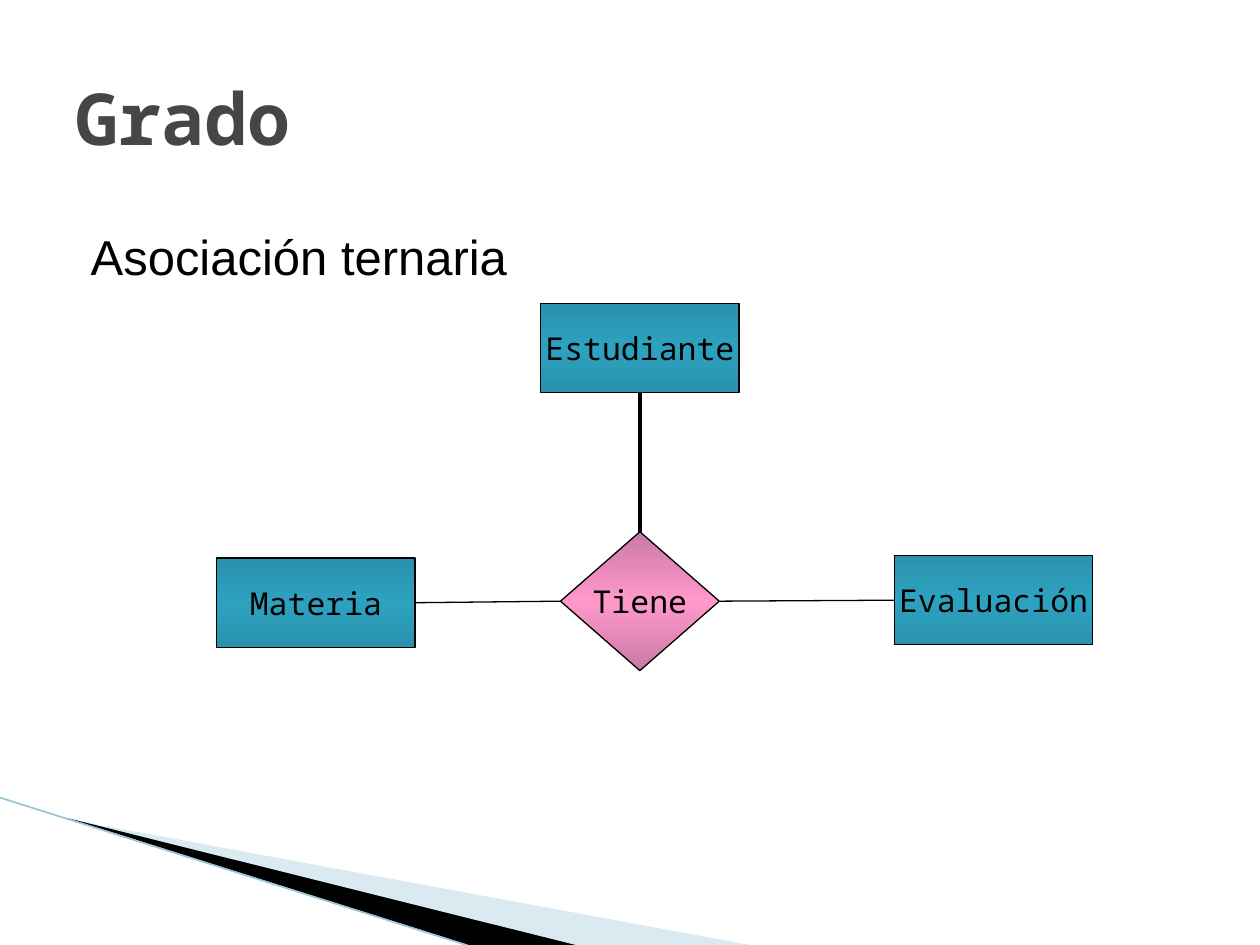
from lxml import etree
from pptx import Presentation
from pptx.dml.color import RGBColor
from pptx.enum.shapes import MSO_CONNECTOR, MSO_SHAPE
from pptx.enum.text import MSO_ANCHOR, PP_ALIGN
from pptx.oxml.ns import qn
from pptx.util import Cm, Pt

RECTANGLE, DIAMOND = MSO_SHAPE.RECTANGLE, MSO_SHAPE.DIAMOND
STRAIGHT = MSO_CONNECTOR.STRAIGHT
LEFT, CENTER = PP_ALIGN.LEFT, PP_ALIGN.CENTER
TOP, MIDDLE = MSO_ANCHOR.TOP, MSO_ANCHOR.MIDDLE
TITLE_ONLY = 5
TOP_SITE, LEFT_SITE, BOTTOM_SITE, RIGHT_SITE = range(4)


def color(value):
    return RGBColor.from_string(value)


class Diagram:
    mono = "Noto Sans Mono"
    black = "000000"
    teal = ("2992AD", "2DA2BF")
    pink = ("CA79A2", "FF99CC")

    def __init__(self, slide):
        self.slide = slide
        self.shapes = slide.shapes

    def set_text(self, shape, text, size, font, ink, align=LEFT, anchor=MIDDLE, wrap=True, bold=False):
        frame = shape.text_frame
        frame.text = text
        frame.word_wrap = wrap
        frame.vertical_anchor = anchor
        para = frame.paragraphs[0]
        para.alignment = align
        para.font.size = Pt(size)
        para.font.name = font
        para.font.bold = bold
        para.font.color.rgb = color(ink)
        return para

    def title(self, text, left, top, width, height):
        box = self.shapes.title
        box.left, box.top, box.width, box.height = map(Cm, (left, top, width, height))
        self.set_text(box, text, 41, self.mono, "464646", bold=True)

    def subtitle(self, text, left, top, width, height):
        box = self.shapes.add_textbox(*map(Cm, (left, top, width, height)))
        para = self.set_text(box, text, 28, "Arial", self.black, anchor=TOP)
        para.space_before = Pt(4)
        properties = para._p.get_or_add_pPr()
        properties.set("marL", str(Cm(1.02)))
        properties.set("indent", str(Cm(-0.71)))

    def wedge(self, points, fill, opacity=100):
        start, *others = [tuple(map(Cm, point)) for point in points]
        builder = self.shapes.build_freeform(*start)
        builder.add_line_segments(others, close=True)
        shape = builder.convert_to_shape()
        shape.shadow.inherit = False
        shape.fill.solid()
        shape.fill.fore_color.rgb = color(fill)
        shape.line.fill.background()
        if opacity < 100:
            tint = shape._element.spPr.find(qn("a:solidFill"))[0]
            etree.SubElement(tint, qn("a:alpha"), val=str(opacity * 1000))

    def node(self, kind, text, left, top, width, height, shades):
        shape = self.shapes.add_shape(kind, *map(Cm, (left, top, width, height)))
        shape.shadow.inherit = False
        self.gradient(shape, *shades)
        shape.line.color.rgb = color(self.black)
        shape.line.width = Pt(0.75)
        self.set_text(shape, text, 18, self.mono, self.black, align=CENTER, wrap=False)
        return shape

    def entity(self, text, left, top):
        return self.node(RECTANGLE, text, left, top, 4, 1.8, self.teal)

    def gradient(self, shape, edge, middle):
        shape.fill.gradient()
        shape.fill.gradient_angle = 270
        stops = shape._element.spPr.find(qn("a:gradFill")).find(qn("a:gsLst"))
        for stop in list(stops):
            stops.remove(stop)
        for position, shade in ((0, edge), (50, middle), (100, edge)):
            stop = etree.SubElement(stops, qn("a:gs"), pos=str(position * 1000))
            etree.SubElement(stop, qn("a:srgbClr"), val=shade)

    def line(self, start, end, ink, width):
        connector = self.shapes.add_connector(STRAIGHT, *map(Cm, (*start, *end)))
        connector.line.color.rgb = color(ink)
        connector.line.width = Pt(width)
        etree.SubElement(connector._element.spPr, qn("a:effectLst"))
        return connector

    def link(self, source, source_site, target, target_site, width=0.75):
        connector = self.line((0, 0), (0, 0), self.black, width)
        connector.begin_connect(source, source_site)
        connector.end_connect(target, target_site)


deck = Presentation()
deck.slide_width, deck.slide_height = Cm(25.4), Cm(19.05)
page = Diagram(deck.slides.add_slide(deck.slide_layouts[TITLE_ONLY]))

page.wedge([(1.4, 16.52), (15.11, 19.05), (11.58, 19.05)], "A0CBDC", opacity=40)
page.wedge([(1.35, 16.49), (11.6, 19.05), (9.45, 19.05)], page.black)
page.line((0, 16.08), (9.4, 19.05), "97C5D8", 0.95)

page.title("Grado", 1.27, 0.76, 22.86, 3.18)
page.subtitle("Asociación ternaria", 1.27, 4.45, 22.83, 1.88)

subject = page.entity("Materia", 4.37, 11.25)
evaluation = page.entity("Evaluación", 18.03, 11.2)
student = page.entity("Estudiante", 10.9, 6.12)
relation = page.node(DIAMOND, "Tiene", 11.3, 10.72, 3.2, 2.8, page.pink)

page.link(subject, RIGHT_SITE, relation, LEFT_SITE)
page.link(relation, RIGHT_SITE, evaluation, LEFT_SITE)
page.link(relation, TOP_SITE, student, BOTTOM_SITE, width=2.25)

deck.save("out.pptx")
